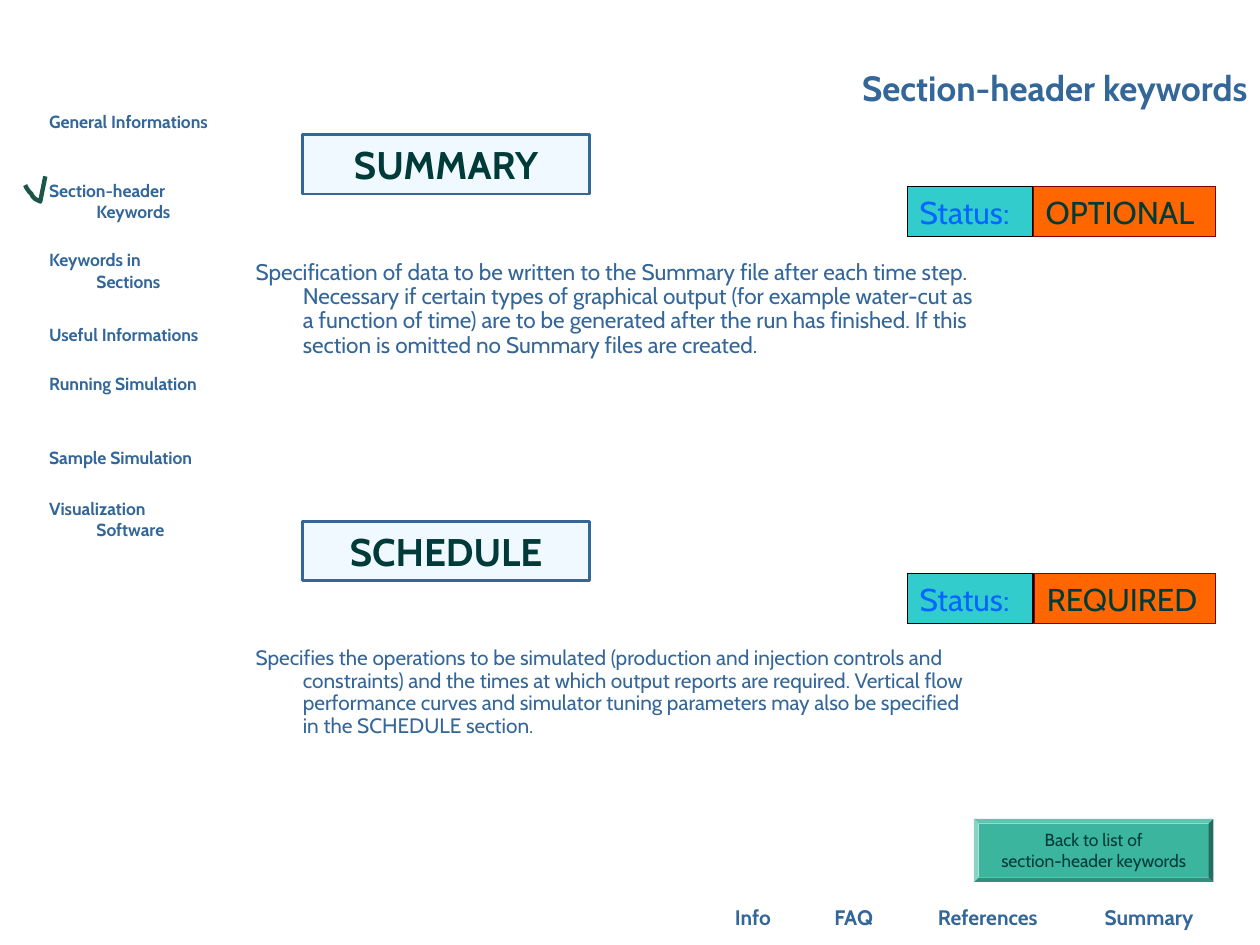
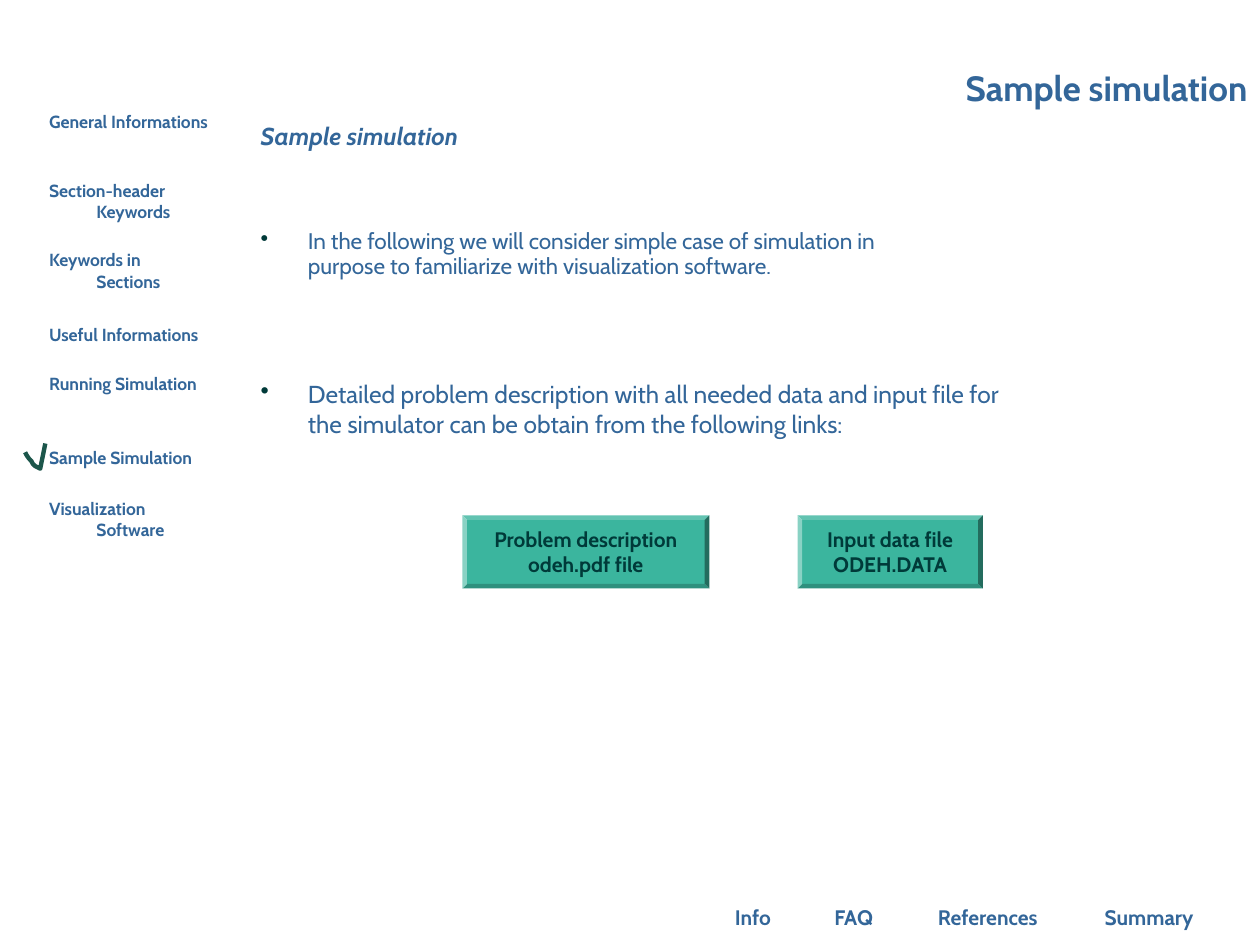
from copy import deepcopy
from dataclasses import dataclass
from typing import Optional

from lxml import etree
from pptx import Presentation
from pptx import util as u
from pptx.dml.color import RGBColor
from pptx.enum import shapes, text
from pptx.oxml import ns

BLUE = RGBColor(0x33, 0x66, 0x99)
DARK_TEAL = RGBColor(0x00, 0x3A, 0x39)
CHECK_GREEN = RGBColor(0x1C, 0x56, 0x4B)
BUTTON_GREEN = RGBColor(0x3B, 0xB5, 0x9E)
SKY = RGBColor(0x66, 0xCC, 0xFF)
TURQUOISE = RGBColor(0x33, 0xCC, 0xCC)
BRIGHT_BLUE = RGBColor(0x00, 0x66, 0xFF)
ORANGE = RGBColor(0xFF, 0x66, 0x00)
MAROON = RGBColor(0x80, 0x00, 0x00)
BLACK = RGBColor(0x00, 0x00, 0x00)

FONT = "Cabin"
COLUMNS, ROWS = 100, 75
SLIDE_WIDTH, SLIDE_HEIGHT = u.Inches(10), u.Inches(7.5)
COLUMN, ROW = SLIDE_WIDTH / COLUMNS, SLIDE_HEIGHT / ROWS
HANGING = round(3.75 * COLUMN)
BEVEL_WIDTH = 0.37
LEFT, CENTER, RIGHT = text.PP_ALIGN.LEFT, text.PP_ALIGN.CENTER, text.PP_ALIGN.RIGHT
TOP, MIDDLE, BOTTOM = text.MSO_ANCHOR.TOP, text.MSO_ANCHOR.MIDDLE, text.MSO_ANCHOR.BOTTOM


@dataclass(frozen=True)
class Area:
    column: float
    row: float
    columns: float
    rows: float

    def lengths(self) -> tuple:
        return (round(self.column * COLUMN), round(self.row * ROW),
                round(self.columns * COLUMN), round(self.rows * ROW))


@dataclass(frozen=True)
class Label:
    words: str
    area: Area


@dataclass(frozen=True)
class Section:
    keyword: str
    status: str
    description: str
    row: float
    status_column: float
    description_columns: float
    description_rows: float
    description_size: float


MENU = [
    Label("General Informations", Area(3.9, 8.8, 13, 3.5)),
    Label("Section-header Keywords", Area(3.9, 14.3, 12.1, 3.3)),
    Label("Keywords in Sections", Area(3.9, 19.8, 12.5, 3.5)),
    Label("Useful Informations", Area(3.9, 25.7, 14.6, 2.4)),
    Label("Running Simulation", Area(3.9, 29.6, 13.4, 3.5)),
    Label("Sample Simulation", Area(3.9, 35.5, 13.4, 2)),
    Label("Visualization Software", Area(3.9, 39.5, 12.2, 3.5)),
]
FOOTER = [
    Label("Info", Area(56.3, 71.3, 6.9, 3)),
    Label("FAQ", Area(64.8, 71.3, 5.9, 3)),
    Label("References", Area(72.7, 71.3, 11.4, 3)),
    Label("Summary", Area(86.1, 71.3, 10.2, 3)),
]
CHECK_MARK = [(3.6, -0.3), (3.2, 1.7), (3, 1.6), (2.8, 1.5), (2.6, 1.3),
              (2.5, 1.1), (2.3, 0.9), (2.1, 0.6), (2, 0.4)]
SECTIONS = [
    Section(
        "SUMMARY", "OPTIONAL",
        "Specification of data to be written to the Summary file after each time step. "
        "Necessary if certain types of graphical output (for example water-cut as a "
        "function of time) are to be generated after the run has finished. If this "
        "section is omitted no Summary files are created.",
        10.7, 82, 59.8, 12.6, 12.9),
    Section(
        "SCHEDULE", "REQUIRED",
        "Specifies the operations to be simulated (production and injection controls and "
        "constraints) and the times at which output reports are required. Vertical flow "
        "performance curves and simulator tuning parameters may also be specified in the "
        "SCHEDULE section.",
        41.4, 82.1, 59.1, 10.2, 11.9),
]


def write(shape, words: str, *, size: float, color: RGBColor = BLUE, bold: bool = False,
          italic: bool = False, align=LEFT, anchor=TOP, inset: bool = True,
          hanging: bool = False, bullet: bool = False, line_spacing: float = 1.0) -> None:
    frame = shape.text_frame
    frame.word_wrap = True
    frame.auto_size = text.MSO_AUTO_SIZE.NONE
    frame.vertical_anchor = anchor
    frame.margin_left = frame.margin_right = u.Inches(0.1 if inset else 0)
    frame.margin_top = frame.margin_bottom = u.Inches(0.05 if inset else 0)
    paragraph = frame.paragraphs[0]
    paragraph.text = words
    paragraph.alignment = align
    paragraph.line_spacing = line_spacing
    properties = paragraph._p.get_or_add_pPr()
    if hanging:
        properties.set("marL", str(HANGING))
        properties.set("indent", str(-HANGING))
    if bullet:
        bullet_color = etree.SubElement(properties, ns.qn("a:buClr"))
        etree.SubElement(bullet_color, ns.qn("a:srgbClr"), val=str(DARK_TEAL))
        etree.SubElement(properties, ns.qn("a:buChar"), char="•")
    for run in paragraph.runs:
        font = run.font
        font.name, font.size = FONT, u.Pt(size)
        font.bold, font.italic = bold, italic
        font.color.rgb = color
    for line_break in paragraph._p.findall(ns.qn("a:br")):
        line_break.append(deepcopy(paragraph.runs[0]._r.rPr))


def add_text(slide, words: str, area: Area, **text_format) -> None:
    write(slide.shapes.add_textbox(*area.lengths()), words, **text_format)


def add_box(slide, words: str, area: Area, fill: RGBColor, line: Optional[RGBColor] = None,
            line_width: float = 0.75, opacity: int = 100,
            kind=shapes.MSO_SHAPE.RECTANGLE, **text_format):
    box = slide.shapes.add_shape(kind, *area.lengths())
    box.shadow.inherit = False
    box.fill.solid()
    box.fill.fore_color.rgb = fill
    if opacity < 100:
        color = box._element.spPr.find(ns.qn("a:solidFill")).find(ns.qn("a:srgbClr"))
        etree.SubElement(color, ns.qn("a:alpha"), val=str(opacity * 1000))
    if line is None:
        box.line.fill.background()
    else:
        box.line.color.rgb = line
        box.line.width = u.Pt(line_width)
    write(box, words, **text_format)
    return box


def add_button(slide, words: str, area: Area, size: float, bold: bool) -> None:
    button = add_box(slide, words, area, BUTTON_GREEN, kind=shapes.MSO_SHAPE.BEVEL,
                     size=size, bold=bold, color=DARK_TEAL, align=CENTER, anchor=MIDDLE)
    button.adjustments[0] = BEVEL_WIDTH / area.rows


def add_check_mark(slide, row: float) -> None:
    points = [(round(x * COLUMN), round((row + y) * ROW)) for x, y in CHECK_MARK]
    builder = slide.shapes.build_freeform(*points[0])
    builder.add_line_segments(points[1:], close=False)
    mark = builder.convert_to_shape()
    mark.shadow.inherit = False
    mark.fill.background()
    mark.line.color.rgb = CHECK_GREEN
    mark.line.width = u.Pt(2.5)


def add_base_slide(presentation, title: str, current: str):
    slide = presentation.slides.add_slide(presentation.slide_layouts[6])
    for label in FOOTER:
        add_text(slide, label.words, label.area, size=12, bold=True,
                 align=CENTER, anchor=BOTTOM)
    for label in MENU:
        add_text(slide, label.words, label.area, size=10, bold=True,
                 inset=False, hanging=True)
        if label.words == current:
            add_check_mark(slide, label.area.row)
    add_text(slide, title, Area(19.2, 3.6, 80.8, 5.5), size=20, bold=True,
             align=RIGHT, anchor=BOTTOM)
    return slide


def add_section(slide, section: Section) -> None:
    status_row = section.row + 4.1
    add_box(slide, section.keyword, Area(24, section.row, 22.8, 4.7), SKY, BLUE, 1.5, 10,
            size=22, bold=True, color=DARK_TEAL, align=CENTER)
    add_box(slide, "Status:", Area(72, status_row, 10, 4), TURQUOISE, BLACK,
            size=18, color=BRIGHT_BLUE, anchor=BOTTOM)
    add_box(slide, section.status,
            Area(section.status_column, status_row, 96.5 - section.status_column, 4),
            ORANGE, MAROON, size=18, color=DARK_TEAL, anchor=BOTTOM)
    add_text(slide, section.description,
             Area(19.3, section.row + 9.5, section.description_columns,
                  section.description_rows),
             size=section.description_size, hanging=True, line_spacing=0.9)


def build_keywords_slide(presentation) -> None:
    slide = add_base_slide(presentation, "Section-header keywords", "Section-header Keywords")
    for section in SECTIONS:
        add_section(slide, section)
    add_button(slide, "Back to list of\vsection-header keywords",
               Area(77.3, 65, 19, 5), size=10, bold=False)


def build_sample_slide(presentation) -> None:
    slide = add_base_slide(presentation, "Sample simulation", "Sample Simulation")
    add_text(slide, "Sample simulation", Area(19.7, 9.1, 63.8, 3.9), size=14,
             bold=True, italic=True, hanging=True)
    add_text(slide, "In the following we will consider simple case of simulation in "
             "purpose to familiarize with visualization software.",
             Area(19.7, 17.8, 56.7, 5.9), size=12.9, hanging=True, bullet=True,
             line_spacing=0.9)
    add_text(slide, "Detailed problem description with all needed data and input file for "
             "the simulator can be obtain from the following links:",
             Area(19.7, 29.6, 62.6, 6.3), size=14, hanging=True, bullet=True)
    add_button(slide, "Problem description\vodeh.pdf file",
               Area(36.7, 40.9, 19.6, 5.8), size=12, bold=True)
    add_button(slide, "Input data file\vODEH.DATA",
               Area(63.3, 40.9, 14.7, 5.8), size=12, bold=True)


def main() -> None:
    presentation = Presentation()
    presentation.slide_width, presentation.slide_height = SLIDE_WIDTH, SLIDE_HEIGHT
    build_keywords_slide(presentation)
    build_sample_slide(presentation)
    presentation.save("out.pptx")


if __name__ == "__main__":
    main()
